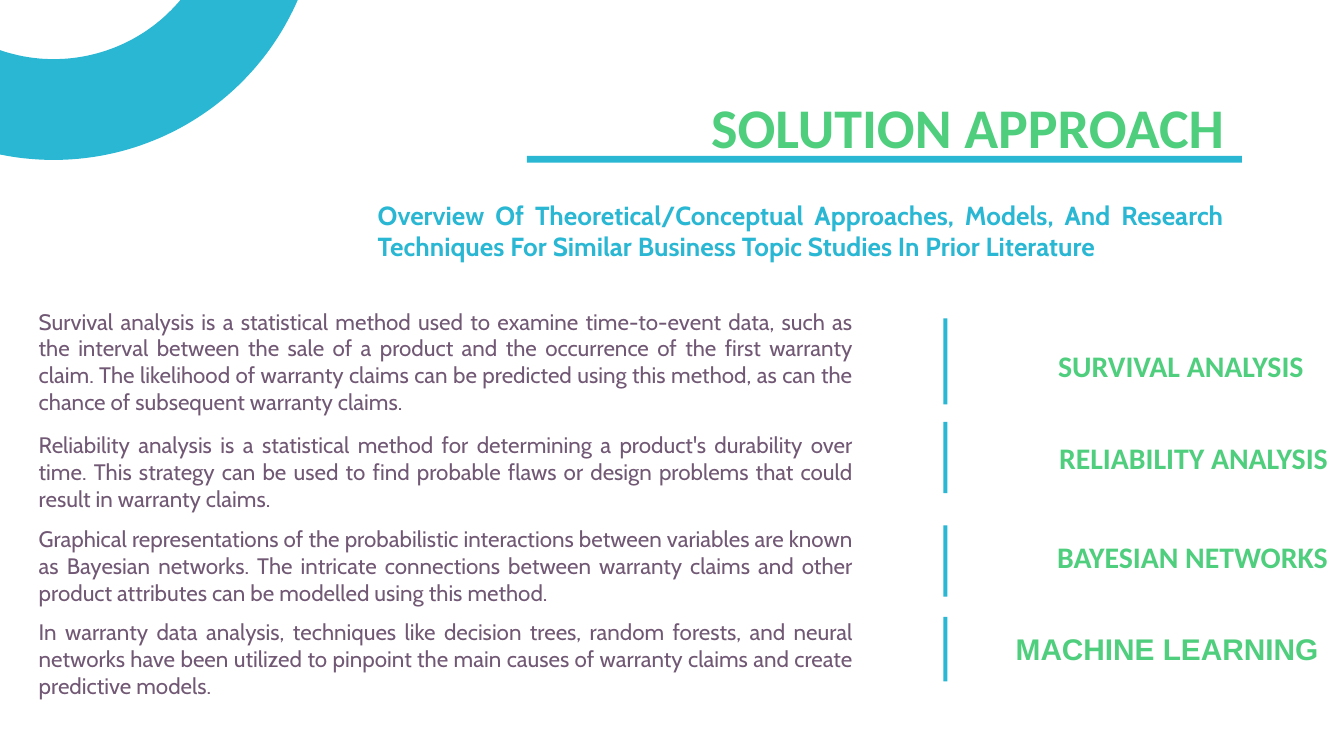
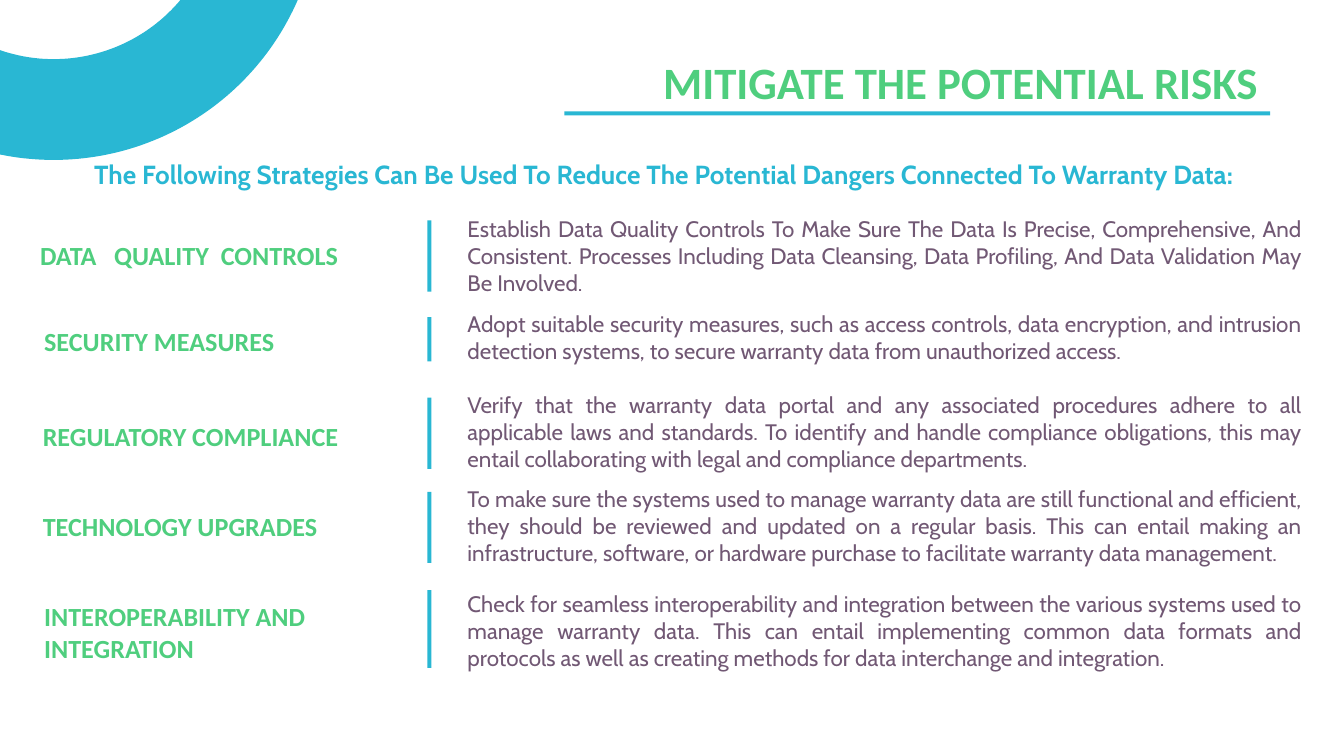
from math import acos, asin, cos, sin
from typing import NamedTuple

from pptx import Presentation
from pptx.dml.color import RGBColor
from pptx.enum.shapes import MSO_SHAPE
from pptx.enum.text import MSO_ANCHOR, MSO_AUTO_SIZE, PP_ALIGN
from pptx.util import Pt

RECTANGLE = MSO_SHAPE.RECTANGLE
TOP = MSO_ANCHOR.TOP
NO_AUTOFIT = MSO_AUTO_SIZE.NONE
RIGHT, JUSTIFY = PP_ALIGN.RIGHT, PP_ALIGN.JUSTIFY

EMU_PER_PX = 9144
SLIDE_WIDTH = 1000
INSET = 10
BAR_WIDTH = 3

BLUE, GREEN, PURPLE = "29B7D3", "4FCE7E", "715874"
TITLE_STYLE = dict(font="Calibri", color=GREEN, bold=True, align=RIGHT)
SUBTITLE_STYLE = dict(font="Cabin", size=14, color=BLUE, bold=True, align=JUSTIFY, after=16)
BODY_STYLE = dict(font="Cabin", size=12, color=PURPLE, align=JUSTIFY, after=16)
LABEL_STYLE = dict(color=GREEN, bold=True)


class Box(NamedTuple):
    """A rectangle in px."""
    left: int
    top: int
    width: int
    height: int


class Row(NamedTuple):
    """A labelled description; label and bar tops are relative to the row."""
    top: int
    height: int
    label: str
    label_box: Box
    bar_top: int
    bar_height: int
    text: str
    label_font: str = "Calibri"


APPROACHES = [
    Row(219, 90, "SURVIVAL ANALYSIS", Box(740, 30, 240, 41), 18, 64,
        "Survival analysis is a statistical method used to examine time-to-event data, such as "
        "the interval between the sale of a product and the occurrence of the first warranty "
        "claim. The likelihood of warranty claims can be predicted using this method, as can the "
        "chance of subsequent warranty claims."),
    Row(311, 67, "RELIABILITY ANALYSIS", Box(722, 6, 276, 41), 3, 53,
        "Reliability analysis is a statistical method for determining a product's durability over "
        "time. This strategy can be used to find probable flaws or design problems that could "
        "result in warranty claims."),
    Row(381, 76, "BAYESIAN NETWORKS", Box(722, 10, 276, 41), 10, 53,
        "Graphical representations of the probabilistic interactions between variables are known "
        "as Bayesian networks. The intricate connections between warranty claims and other "
        "product attributes can be modelled using this method."),
    Row(450, 76, "MACHINE LEARNING", Box(715, 9, 276, 41), 9, 48,
        "In warranty data analysis, techniques like decision trees, random forests, and neural "
        "networks have been utilized to pinpoint the main causes of warranty claims and create "
        "predictive models.", "Arial"),
]

STRATEGIES = [
    Row(150, 71, "DATA   QUALITY  CONTROLS", Box(20, 18, 280, 40), 14, 53,
        "Establish Data Quality Controls To Make Sure The Data Is Precise, Comprehensive, And "
        "Consistent. Processes Including Data Cleansing, Data Profiling, And Data Validation May "
        "Be Involved."),
    Row(221, 61, "SECURITY MEASURES", Box(23, 11, 249, 27), 15, 33,
        "Adopt suitable security measures, such as access controls, data encryption, and intrusion "
        "detection systems, to secure warranty data from unauthorized access."),
    Row(281, 71, "REGULATORY COMPLIANCE", Box(22, 22, 280, 40), 15, 53,
        "Verify that the warranty data portal and any associated procedures adhere to all "
        "applicable laws and standards. To identify and handle compliance obligations, this may "
        "entail collaborating with legal and compliance departments."),
    Row(351, 71, "TECHNOLOGY UPGRADES", Box(22, 19, 280, 40), 15, 53,
        "To make sure the systems used to manage warranty data are still functional and efficient, "
        "they should be reviewed and updated on a regular basis. This can entail making an "
        "infrastructure, software, or hardware purchase to facilitate warranty data management."),
    Row(429, 71, "INTEROPERABILITY AND\nINTEGRATION", Box(23, 8, 398, 80), 10, 58,
        "Check for seamless interoperability and integration between the various systems used to "
        "manage warranty data. This can entail implementing common data formats and protocols as "
        "well as creating methods for data interchange and integration."),
]


def px(length):
    """Convert px to EMU."""
    return round(length * EMU_PER_PX)


def rgb(color):
    """Turn a hex string into a colour."""
    return RGBColor.from_string(color)


def paint(shape, color):
    """Give a shape a flat fill without line or shadow."""
    shape.shadow.inherit = False
    shape.fill.solid()
    shape.fill.fore_color.rgb = rgb(color)
    shape.line.fill.background()


def place(shape, box):
    """Move a shape to a box."""
    shape.left, shape.top, shape.width, shape.height = map(px, box)


def write(shape, text, font, size, color, align, bold=False, after=0, top_inset=INSET):
    """Fill a shape with formatted text, one paragraph for each line."""
    frame = shape.text_frame
    frame.word_wrap = True
    frame.auto_size = NO_AUTOFIT
    frame.vertical_anchor = TOP
    frame.margin_left = frame.margin_right = frame.margin_bottom = px(INSET)
    frame.margin_top = px(top_inset)
    frame.text = text
    for paragraph in frame.paragraphs:
        paragraph.alignment = align
        paragraph.line_spacing = 1.0
        paragraph.space_before, paragraph.space_after = Pt(0), Pt(after)
        for run in paragraph.runs:
            run.font.name, run.font.size, run.font.bold = font, Pt(size), bold
            run.font.color.rgb = rgb(color)


def add_text(slide, box, text, **style):
    """Add a text box."""
    write(slide.shapes.add_textbox(*map(px, box)), text, **style)


def add_bar(slide, box):
    """Add a thin blue rectangle."""
    paint(slide.shapes.add_shape(RECTANGLE, *map(px, box)), BLUE)


def add_corner_ring(slide, layout):
    """Draw the ring cut by the top left corner and hand it to the layout."""
    center_x, center_y, steps = 40, -79, 60
    points = []
    for radius, direction in ((198, 1), (123, -1)):
        start, end = acos(-center_x / radius), asin(-center_y / radius)
        angles = [start + (end - start) * step / steps for step in range(steps + 1)]
        points += [(px(center_x + radius * cos(angle)), px(center_y + radius * sin(angle)))
                   for angle in angles[::direction]]
    builder = slide.shapes.build_freeform(*points[0])
    builder.add_line_segments(points[1:], close=True)
    ring = builder.convert_to_shape()
    paint(ring, BLUE)
    ring.element.nvSpPr.cNvPr.id = 100
    layout.shapes.element.append(ring.element)


def add_heading(slide, title, title_box, title_format, rule_box, subtitle, subtitle_box):
    """Fill the title and subtitle and underline the title."""
    title_shape, subtitle_shape = slide.placeholders
    place(title_shape, title_box)
    write(title_shape, title, **TITLE_STYLE, **title_format)
    place(subtitle_shape, subtitle_box)
    write(subtitle_shape, subtitle, **SUBTITLE_STYLE)
    add_bar(slide, rule_box)


def add_rows(slide, rows, text_left, text_width, bar_left, label_size, label_align):
    """Add each row's description, label and dividing bar."""
    for row in rows:
        add_text(slide, Box(text_left, row.top, text_width, row.height), row.text, **BODY_STYLE)
        label_box = row.label_box._replace(top=row.top + row.label_box.top)
        add_text(slide, label_box, row.label, font=row.label_font, size=label_size,
                 align=label_align, **LABEL_STYLE)
        add_bar(slide, Box(bar_left, row.top + row.bar_top, BAR_WIDTH, row.bar_height))


def build_approach_slide(slide):
    """Build the slide on the analysis methods."""
    add_heading(slide, "SOLUTION APPROACH", Box(400, 59, 521, 63), dict(size=30),
                Box(392, 116, 532, 5),
                "Overview Of Theoretical/Conceptual Approaches, Models, And Research Techniques "
                "For Similar Business Topic Studies In Prior Literature", Box(271, 138, 650, 80))
    add_rows(slide, APPROACHES, text_left=19, text_width=626, bar_left=702,
             label_size=16, label_align=RIGHT)


def build_risk_slide(slide):
    """Build the slide on the risk strategies."""
    add_heading(slide, "MITIGATE THE POTENTIAL RISKS", Box(338, 22, 608, 63),
                dict(size=24, top_inset=19), Box(420, 83, 525, 3),
                "The Following Strategies Can Be Used To Reduce The Potential Dangers Connected "
                "To Warranty Data:", Box(60, 108, 894, 80))
    add_rows(slide, STRATEGIES, text_left=338, text_width=641, bar_left=318,
             label_size=14, label_align=JUSTIFY)


def main():
    """Build and save the presentation."""
    presentation = Presentation()
    presentation.slide_width = px(SLIDE_WIDTH)
    presentation.slide_height = px(SLIDE_WIDTH * 9 / 16)
    layout = presentation.slide_layouts[0]
    approach_slide, risk_slide = [presentation.slides.add_slide(layout) for _ in range(2)]
    add_corner_ring(approach_slide, layout)
    build_approach_slide(approach_slide)
    build_risk_slide(risk_slide)
    presentation.save("out.pptx")


if __name__ == "__main__":
    main()
